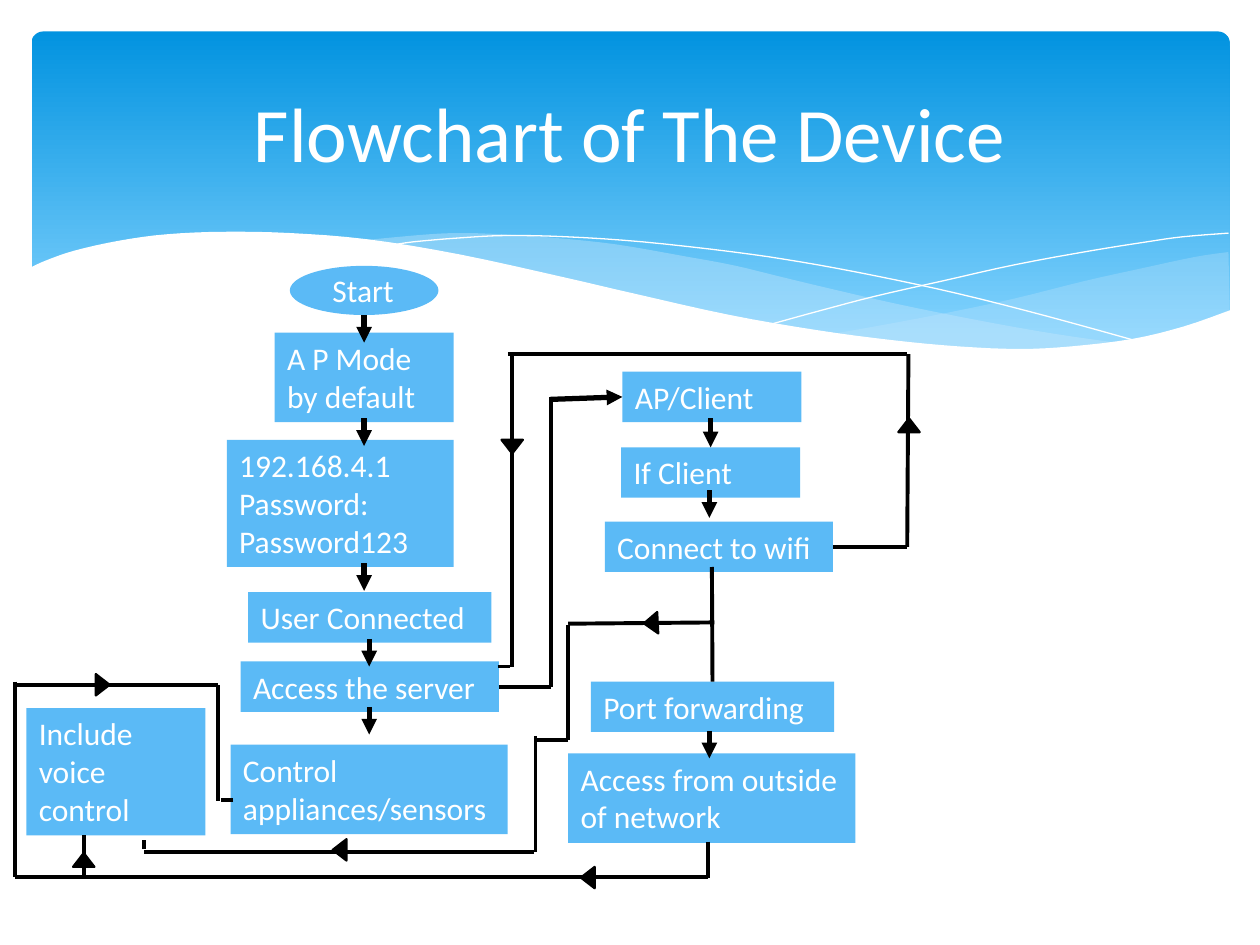
"""Build the device flowchart slide."""
from pptx import Presentation
from pptx.dml.color import RGBColor
from pptx.enum.shapes import MSO_CONNECTOR as Link, MSO_SHAPE as Form
from pptx.enum.text import MSO_ANCHOR as Anchor, MSO_AUTO_SIZE as Fit, PP_ALIGN as Align
from pptx.oxml.ns import qn
from pptx.util import Inches, Pt
from lxml.etree import SubElement

SKY, PALE, WHITE, BLACK = "5BBAF6", "C6E7FC", "FFFFFF", "000000"

BACK = [(9.75, 2), (9.48, 2.04), (9.06, 2.13), (8.61, 2.23), (8.05, 2.37),
        (7.53, 2.48), (7.06, 2.57), (6.61, 2.65)]
BACK_LOW = [(6.61, 2.65), (7.05, 2.71), (7.45, 2.75), (7.81, 2.77), (8.14, 2.78),
            (8.54, 2.76), (8.89, 2.72), (9.21, 2.65), (9.49, 2.57), (9.76, 2.47)]
FRONT = [(8.93, 2.73), (8.37, 2.65), (7.75, 2.54), (7.06, 2.4), (6.29, 2.22),
         (5.84, 2.11), (5.41, 2.03), (4.89, 1.94), (4.42, 1.89), (3.99, 1.86),
         (3.61, 1.85), (3.28, 1.87), (2.86, 1.91)]
FRONT_LOW = [(2.86, 1.91), (3.42, 1.99), (4.04, 2.11), (4.49, 2.22), (5.3, 2.4),
             (6.01, 2.55), (6.65, 2.66), (7.22, 2.74), (7.73, 2.77), (8.18, 2.78),
             (8.57, 2.77), (8.93, 2.73)]
FALL = [(3.09, 1.95), (3.28, 1.92), (3.63, 1.89), (4.01, 1.87), (4.5, 1.88),
        (5.1, 1.92), (5.82, 2), (6.36, 2.08), (6.95, 2.19), (7.6, 2.33),
        (8.31, 2.51), (9.07, 2.72)]
RISE = [(6.13, 2.57), (6.53, 2.46), (6.95, 2.35), (7.48, 2.23), (8.06, 2.1),
        (8.66, 1.99), (9.1, 1.92), (9.38, 1.88), (9.75, 1.85)]
EDGE = [(9.77, 2.46), (9.4, 2.59), (8.99, 2.69), (8.5, 2.75), (8.09, 2.77),
        (7.61, 2.75), (7.08, 2.7), (6.48, 2.62), (5.79, 2.5), (5.03, 2.33),
        (4.47, 2.2), (3.65, 2.02), (2.92, 1.9), (2.3, 1.85), (1.77, 1.84),
        (1.32, 1.86), (0.95, 1.91), (0.59, 1.99), (0.36, 2.07), (0.23, 2.13)]

STEPS = {
    "mode": ("A P Mode\nby default", 2.18, 2.64, 1.42, 0.71),
    "login": ("192.168.4.1\nPassword:\nPassword123", 1.8, 3.49, 1.8, 1.01),
    "user": ("User Connected", 1.97, 4.7, 1.93, 0.4),
    "server": ("Access the server", 1.91, 5.25, 2.05, 0.4),
    "control": ("Control appliances/sensors", 1.83, 5.91, 2.2, 0.71),
    "client": ("AP/Client", 4.94, 2.95, 1.42, 0.4),
    "if": ("If Client", 4.93, 3.55, 1.42, 0.4),
    "wifi": ("Connect to wifi", 4.8, 4.14, 1.81, 0.4),
    "voice": ("Include voice control", 0.21, 5.62, 1.42, 1.01),
    "port": ("Port forwarding", 4.69, 5.41, 1.93, 0.4),
    "outside": ("Access from outside of network", 4.51, 5.98, 2.28, 0.71),
}
DROPS = [(2.89, 2.5), (2.89, 3.32), (2.89, 4.47), (2.93, 5.07), (2.93, 5.61),
         (5.63, 3.89), (5.63, 5.8)]
LINES = [
    (4.37, 5.45, 4.37, 3.15), (7.21, 2.81, 7.2, 4.34), (4.03, 2.81, 7.2, 2.81),
    (4.06, 2.81, 4.06, 5.29), (3.95, 5.29, 4.05, 5.29), (4.25, 5.84, 4.25, 6.76),
    (5.67, 4.94, 4.51, 4.95), (4.51, 4.96, 4.51, 5.87), (4.51, 5.87, 4.24, 5.87),
    (4.24, 6.76, 1.14, 6.76), (1.14, 6.74, 1.14, 6.67), (5.62, 6.68, 5.62, 6.97),
    (5.62, 6.96, 0.67, 6.96), (0.67, 6.63, 0.67, 6.96), (0.67, 6.96, 0.12, 6.96),
    (0.12, 5.41, 0.12, 6.96), (1.73, 5.44, 0.1, 5.44), (1.73, 5.44, 1.73, 6.36),
    (1.85, 6.35, 1.75, 6.35)]
HEADS = [(7.13, 3.32, 0), (3.98, 3.49, 180), (5.08, 4.89, 267.1), (2.61, 6.69, 270),
         (4.58, 6.91, 270), (0.73, 5.38, 90), (0.58, 6.77, 0)]


def tint(color, code):
    """Set a colour format from a hex string."""
    color.rgb = RGBColor.from_string(code)


def paint(shape, fill=None, line=None, width=0, alpha=None):
    """Set the fill and outline of a shape and drop its shadow."""
    shape.shadow.inherit = False
    if fill:
        shape.fill.solid()
        tint(shape.fill.fore_color, fill)
    else:
        shape.fill.background()
    if alpha:
        code = shape.fill._xPr.find(qn("a:solidFill"))[0]
        SubElement(code, qn("a:alpha"), val=str(alpha * 1000))
    if line:
        tint(shape.line.color, line)
        shape.line.width = Pt(width)
    else:
        shape.line.fill.background()


def write(shape, text, size=18, align=Align.LEFT, anchor=Anchor.TOP, fit=Fit.SHAPE_TO_FIT_TEXT):
    """Write white text into a shape, one paragraph per line."""
    frame = shape.text_frame
    frame.text = text
    frame.word_wrap = True
    frame.auto_size = fit
    frame.vertical_anchor = anchor
    for para in frame.paragraphs:
        para.alignment = align
        para.font.size = Pt(size)
        para.font.name = "Calibri"
        tint(para.font.color, WHITE)


def block(shapes, form, *box, **look):
    """Add a painted preset shape."""
    shape = shapes.add_shape(form, *map(Inches, box))
    paint(shape, **look)
    return shape


def curve(knots, parts=4):
    """Return points of a smooth curve through the knots."""
    ends = [knots[0], *knots, knots[-1]]
    points = [knots[0]]
    for a, b, c, d in zip(ends, ends[1:], ends[2:], ends[3:]):
        for i in range(1, parts + 1):
            t = i / parts
            points.append(tuple(
                q + t * (r - p + t * (2 * p - 5 * q + 4 * r - s
                                      + t * (3 * q - p - 3 * r + s))) / 2
                for p, q, r, s in zip(a, b, c, d)))
    return points


def wave(shapes, points, close=True, **look):
    """Add a painted outline through points."""
    spots = [(Inches(x), Inches(y)) for x, y in points]
    pen = shapes.build_freeform(*spots[0], scale=1.0)
    pen.add_line_segments(spots[1:], close=close)
    paint(pen.convert_to_shape(), **look)


def link(shapes, x1, y1, x2, y2, arrow=False, start=None, end=None):
    """Add a black line, with an arrowhead and joined ends on request."""
    line = shapes.add_connector(Link.STRAIGHT, *map(Inches, (x1, y1, x2, y2)))
    if start:
        line.begin_connect(*start)
    if end:
        line.end_connect(*end)
    tint(line.line.color, BLACK)
    line.line.width = Pt(3 if arrow else 2.25)
    if arrow:
        SubElement(line.line._get_or_add_ln(), qn("a:tailEnd"), type="triangle")
    SubElement(line._element.spPr, qn("a:effectLst"))


def banner(shapes):
    """Draw the gradient header with its waves."""
    head = block(shapes, Form.ROUNDED_RECTANGLE, 0.25, 0.25, 9.51, 2.7)
    head.adjustments[0] = 0.034
    head.fill.gradient()
    head.fill.gradient_angle = 270
    for stop, place, code in zip(head.fill.gradient_stops, (0, 0.9), ("0293E0", "83D3FE")):
        stop.position = place
        tint(stop.color, code)
    wave(shapes, curve(BACK) + curve(BACK_LOW), fill=PALE, alpha=29)
    wave(shapes, curve(FRONT) + curve(FRONT_LOW), fill=PALE, alpha=40)
    for knots in (FALL, RISE):
        wave(shapes, curve(knots), close=False, line=WHITE)
    wave(shapes, curve(EDGE) + [(0.23, 3.29), (9.77, 3.29)], fill=WHITE)
    title = shapes.add_textbox(*map(Inches, (0.5, 0.36, 9, 1.37)))
    write(title, "Flowchart of The Device", size=44, align=Align.CENTER,
          anchor=Anchor.MIDDLE, fit=Fit.NONE)


def chart(shapes):
    """Draw the steps and the lines between them."""
    block(shapes, Form.OVAL, 2.3, 2.11, 1.18, 0.39, fill=SKY)
    steps = {}
    for name, (text, *box) in STEPS.items():
        steps[name] = block(shapes, Form.RECTANGLE, *box, fill=SKY)
        write(steps[name], text)
    write(shapes.add_textbox(*map(Inches, (2.54, 2.1, 0.79, 0.4))), "Start")
    for x, y in DROPS:
        link(shapes, x, y, x, y + 0.22, arrow=True)
    link(shapes, 5.64, 3.32, 5.64, 3.55, arrow=True, end=(steps["if"], 0))
    link(shapes, 4.37, 3.17, 4.94, 3.15, arrow=True, end=(steps["client"], 1))
    link(shapes, 3.95, 5.45, 4.37, 5.45, start=(steps["server"], 3))
    link(shapes, 6.61, 4.34, 7.2, 4.34, start=(steps["wifi"], 3))
    link(shapes, 5.65, 4.5, 5.65, 5.41, end=(steps["port"], 0))
    for ends in LINES:
        link(shapes, *ends)
    for x, y, turn in HEADS:
        head = block(shapes, Form.ISOSCELES_TRIANGLE, x, y, 0.17, 0.11,
                     fill=BLACK, line=BLACK, width=1.25)
        head.rotation = turn


def main():
    """Build and save the slide."""
    deck = Presentation()
    deck.slide_width, deck.slide_height = Inches(10), Inches(7.5)
    shapes = deck.slides.add_slide(deck.slide_layouts[6]).shapes
    banner(shapes)
    chart(shapes)
    deck.save("out.pptx")


if __name__ == "__main__":
    main()
